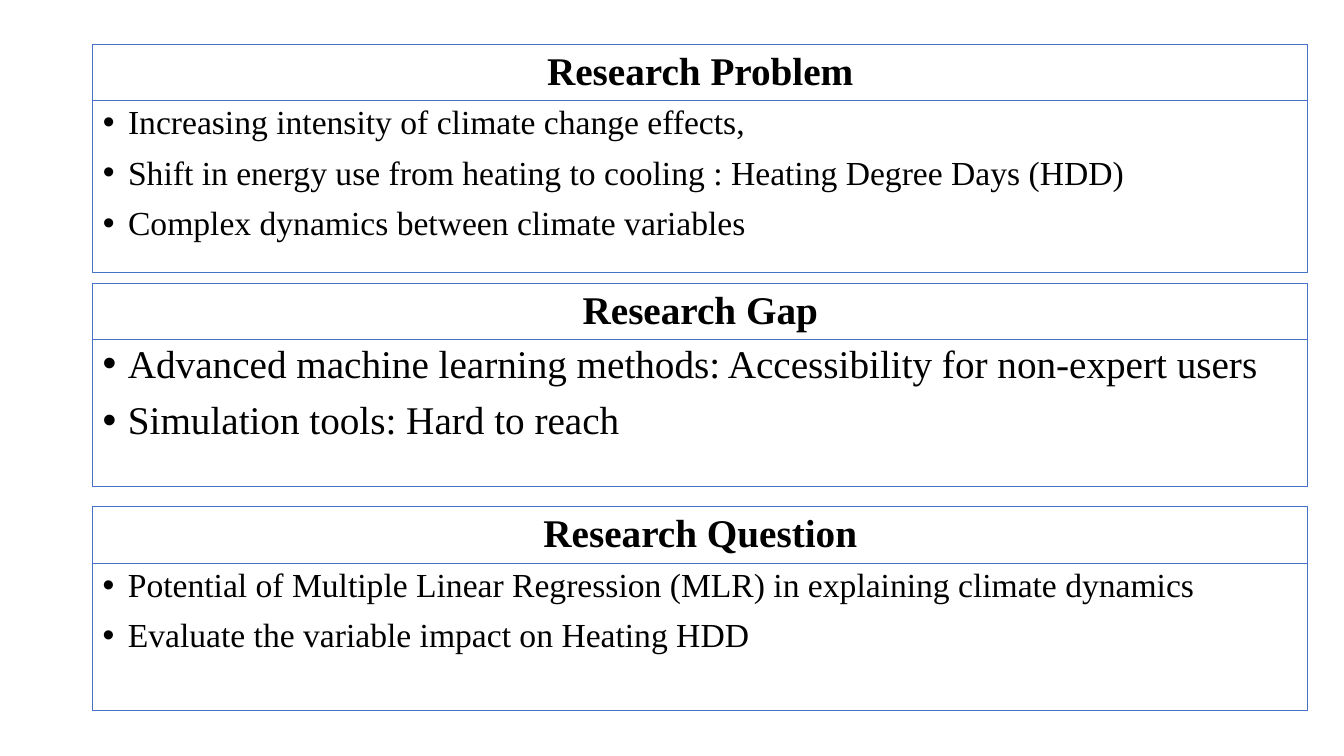
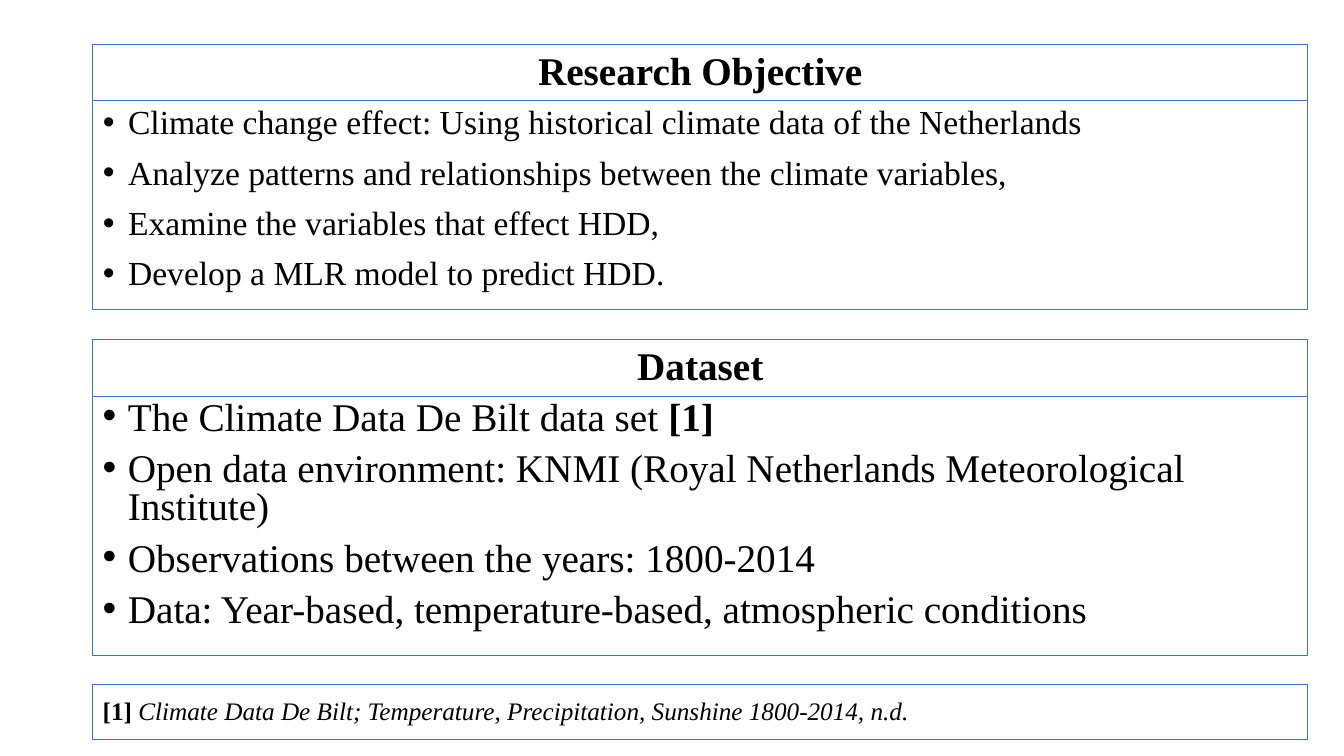
from dataclasses import dataclass

from lxml import etree
from pptx import Presentation
from pptx.dml.color import RGBColor
from pptx.enum.text import MSO_ANCHOR, MSO_AUTO_SIZE, PP_ALIGN
from pptx.oxml.ns import qn
from pptx.util import Inches, Pt

TOP, MIDDLE = MSO_ANCHOR.TOP, MSO_ANCHOR.MIDDLE
LEFT, CENTER = PP_ALIGN.LEFT, PP_ALIGN.CENTER
NO_FIT = MSO_AUTO_SIZE.NONE
TITLE_AND_CONTENT = 1


@dataclass(frozen=True)
class Theme:
    font: str = "Times New Roman"
    ink: RGBColor = RGBColor(0x00, 0x00, 0x00)
    border: RGBColor = RGBColor(0x44, 0x72, 0xC4)
    border_width: float = 0.75
    heading: int = 28
    large: int = 28
    body: int = 24
    note: int = 18
    left: float = 0.92
    width: float = 12.05
    header_height: float = 0.56


class Deck:
    def __init__(self, theme):
        self.theme = theme
        self.prs = Presentation()
        self.prs.slide_width, self.prs.slide_height = Inches(13.33), Inches(7.5)
        self.slide = None

    def new_slide(self):
        layout = self.prs.slide_layouts[TITLE_AND_CONTENT]
        self.slide = self.prs.slides.add_slide(layout)

    def frame(self, top, height, anchor, sp=None):
        """Outline a box, using the placeholder sp when there is one."""
        t = self.theme
        box = [Inches(v) for v in (t.left, top, t.width, height)]
        if sp is None:
            sp = self.slide.shapes.add_textbox(*box)
        sp.left, sp.top, sp.width, sp.height = box
        sp.line.color.rgb = t.border
        sp.line.width = Pt(t.border_width)
        tf = sp.text_frame
        tf.word_wrap = True
        tf.auto_size = NO_FIT
        tf.vertical_anchor = anchor
        return tf

    def paragraph(self, p, runs, size, align=LEFT, spacing=0.9, before=0):
        """Write runs, each given as (text, bold, italic)."""
        p.alignment = align
        p.line_spacing = spacing
        p.space_before = Pt(before)
        for text, bold, italic in runs:
            r = p.add_run()
            r.text = text
            r.font.name = self.theme.font
            r.font.size = Pt(size)
            r.font.color.rgb = self.theme.ink
            r.font.bold, r.font.italic = bold, italic

    def bullet(self, p):
        pPr = p._p.get_or_add_pPr()
        pPr.set("marL", str(Inches(0.25)))
        pPr.set("indent", str(-Inches(0.25)))
        etree.SubElement(pPr, qn("a:buFont")).set("typeface", "Arial")
        etree.SubElement(pPr, qn("a:buChar")).set("char", "•")

    def header(self, text, top, sp=None):
        tf = self.frame(top, self.theme.header_height, MIDDLE, sp)
        self.paragraph(tf.paragraphs[0], [(text, True, False)],
                       self.theme.heading, CENTER)

    def bullets(self, items, top, height, size, spacing, sp=None):
        tf = self.frame(top, height, TOP, sp)
        for i, item in enumerate(items):
            p = tf.add_paragraph() if i else tf.paragraphs[0]
            runs = [(item, False, False)] if isinstance(item, str) else item
            self.paragraph(p, runs, size, spacing=spacing, before=10)
            self.bullet(p)

    def panel(self, heading, items, top, height, size, spacing=0.9, main=False):
        """Header above a bulleted list; the main panel fills the placeholders."""
        title, body = self.slide.placeholders if main else (None, None)
        self.header(heading, top, title)
        self.bullets(items, top + self.theme.header_height, height, size,
                     spacing, body)

    def reference(self, runs, top):
        tf = self.frame(top, 0.55, MIDDLE)
        self.paragraph(tf.paragraphs[0], runs, self.theme.note)


def main():
    theme = Theme()
    deck = Deck(theme)

    # Problem, gap and question
    deck.new_slide()
    deck.panel("Research Problem", [
        "Increasing intensity of climate change effects,",
        "Shift in energy use from heating to cooling : Heating Degree Days (HDD)",
        "Complex dynamics between climate variables",
    ], 0.44, 1.7, theme.body, main=True)
    deck.panel("Research Gap", [
        "Advanced machine learning methods: Accessibility for non-expert users",
        "Simulation tools: Hard to reach",
    ], 2.81, 1.46, theme.large)
    deck.panel("Research Question", [
        "Potential of Multiple Linear Regression (MLR) in explaining climate dynamics",
        "Evaluate the variable impact on Heating HDD",
    ], 5.03, 1.46, theme.body)

    # Objective and dataset
    deck.new_slide()
    deck.panel("Research Objective", [
        "Climate change effect: Using historical climate data of the Netherlands",
        "Analyze patterns and relationships between the climate variables,",
        "Examine the variables that effect HDD,",
        "Develop a MLR model to predict HDD.",
    ], 0.44, 2.07, theme.body, main=True)
    deck.panel("Dataset", [
        [("The Climate Data De Bilt data set ", False, False), ("[1]", True, False)],
        "Open data environment: KNMI (Royal Netherlands Meteorological Institute)",
        "Observations between the years: 1800-2014",
        "Data: Year-based, temperature-based, atmospheric conditions",
    ], 3.37, 2.57, theme.large, spacing=0.8)
    deck.reference([
        ("[1] ", True, False),
        ("Climate Data De Bilt; Temperature, Precipitation, Sunshine 1800-2014, n.d.",
         False, True),
    ], 6.79)

    deck.prs.save("out.pptx")


if __name__ == "__main__":
    main()
